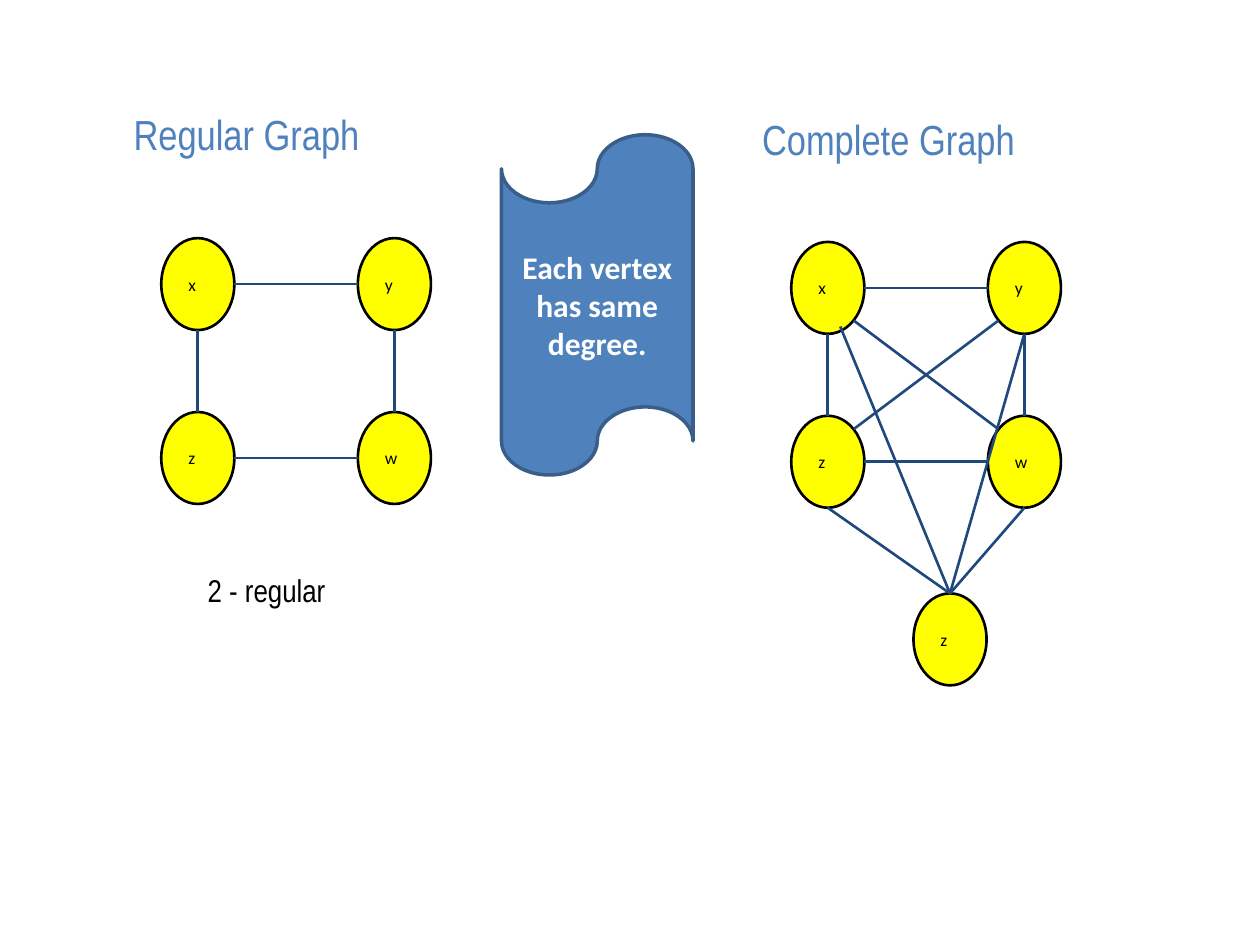
from lxml import etree
from pptx import Presentation
from pptx.dml.color import RGBColor
from pptx.enum.shapes import MSO_CONNECTOR as Connector, MSO_SHAPE as Preset
from pptx.enum.text import MSO_ANCHOR as Anchor, MSO_AUTO_SIZE as AutoSize, PP_ALIGN as Align
from pptx.oxml.ns import qn
from pptx.util import Inches, Pt

BLUE = RGBColor(0x4F, 0x81, 0xBD)
DARK_BLUE = RGBColor(0x39, 0x5E, 0x89)
NAVY = RGBColor(0x1F, 0x49, 0x7D)
YELLOW = RGBColor(0xFF, 0xFF, 0x00)
BLACK = RGBColor(0x00, 0x00, 0x00)
WHITE = RGBColor(0xFF, 0xFF, 0xFF)

NODE_WIDTH, NODE_HEIGHT = 0.58, 0.73
COLUMN_STEP, ROW_STEP = 1.56, 1.38

TOP, BOTTOM, LEFT, RIGHT = (0, -1), (0, 1), (-1, 0), (1, 0)
TOP_LEFT, TOP_RIGHT = (-0.71, -0.71), (0.71, -0.71)
BOTTOM_LEFT, BOTTOM_RIGHT = (-0.71, 0.71), (0.71, 0.71)
LOWER_RIGHT = (0.34, 0.84)

SQUARE_EDGES = [
    ("x", RIGHT, "y", LEFT),
    ("x", BOTTOM, "z", TOP),
    ("y", BOTTOM, "w", TOP),
    ("z", RIGHT, "w", LEFT),
]
COMPLETE_EDGES = SQUARE_EDGES + [
    ("z", TOP_RIGHT, "y", BOTTOM_LEFT),
    ("x", BOTTOM_RIGHT, "w", TOP_LEFT),
    ("x", LOWER_RIGHT, "apex", TOP),
    ("apex", TOP, "y", BOTTOM),
    ("z", BOTTOM, "apex", TOP),
    ("apex", TOP, "w", BOTTOM),
]


def write_text(shape, text, *, size, font="Calibri", color=BLACK, bold=False,
               align=Align.LEFT, anchor=Anchor.TOP, inset=0.1):
    frame = shape.text_frame
    frame.word_wrap = True
    frame.auto_size = AutoSize.NONE
    frame.vertical_anchor = anchor
    frame.margin_left = frame.margin_right = Inches(0.1)
    frame.margin_top = frame.margin_bottom = Inches(inset)
    paragraph = frame.paragraphs[0]
    paragraph.alignment = align
    run = paragraph.add_run()
    run.text = text
    run.font.name = font
    run.font.size = Pt(size)
    run.font.bold = bold
    run.font.color.rgb = color


def add_label(slide, text, left, top, width, height, **text_format):
    box = slide.shapes.add_textbox(Inches(left), Inches(top), Inches(width), Inches(height))
    write_text(box, text, font="Arial Narrow", **text_format)


def place_title(slide, text, left, top, width, height, **text_format):
    title = slide.shapes.title
    title.left, title.top = Inches(left), Inches(top)
    title.width, title.height = Inches(width), Inches(height)
    write_text(title, text, font="Arial Narrow", **text_format)


def add_filled_shape(slide, preset, left, top, width, height, fill, line, line_width):
    shape = slide.shapes.add_shape(
        preset, Inches(left), Inches(top), Inches(width), Inches(height))
    shape.shadow.inherit = False
    shape.fill.solid()
    shape.fill.fore_color.rgb = fill
    shape.line.color.rgb = line
    shape.line.width = Pt(line_width)
    return shape


def add_node(slide, text, left, top):
    node = add_filled_shape(slide, Preset.OVAL, left, top, NODE_WIDTH, NODE_HEIGHT,
                            YELLOW, BLACK, 1.5)
    write_text(node, f" {text}", size=10, anchor=Anchor.MIDDLE)


def boundary_point(position, side):
    left, top = position
    across, down = side
    return (Inches(left + NODE_WIDTH / 2 * (1 + across)),
            Inches(top + NODE_HEIGHT / 2 * (1 + down)))


def add_edge(slide, start, end):
    edge = slide.shapes.add_connector(Connector.STRAIGHT, *start, *end)
    edge.line.color.rgb = NAVY
    edge.line.width = Pt(1.5)
    etree.SubElement(edge._element.spPr, qn("a:effectLst"))


def square_positions(left, top):
    return {name: (left + index % 2 * COLUMN_STEP, top + index // 2 * ROW_STEP)
            for index, name in enumerate("xyzw")}


def add_graph(slide, positions, edges, captions):
    for name, position in positions.items():
        add_node(slide, captions.get(name, name), *position)
    for start, start_side, end, end_side in edges:
        add_edge(slide, boundary_point(positions[start], start_side),
                 boundary_point(positions[end], end_side))


def main():
    presentation = Presentation()
    presentation.slide_width, presentation.slide_height = Inches(10), Inches(7.5)
    slide = presentation.slides.add_slide(presentation.slide_layouts.get_by_name("Title Only"))

    place_title(slide, "Regular Graph", 0.96, 0.76, 3.84, 0.56, size=24, color=BLUE)
    add_graph(slide, square_positions(1.28, 1.89), SQUARE_EDGES, {})
    add_label(slide, "2 - regular", 1.55, 4.43, 1.79, 0.65, size=18)

    tape = add_filled_shape(slide, Preset.FLOWCHART_PUNCHED_TAPE, 3.98, 1.07, 1.52, 2.7,
                            BLUE, DARK_BLUE, 2)
    write_text(tape, "Each vertex has same degree.", size=18, color=WHITE, bold=True,
               align=Align.CENTER, anchor=Anchor.MIDDLE, inset=0.05)

    add_label(slide, "Complete Graph", 5.95, 0.8, 3.84, 0.56, size=24, color=BLUE)
    complete_positions = square_positions(6.28, 1.92) | {"apex": (7.25, 4.71)}
    add_graph(slide, complete_positions, COMPLETE_EDGES, {"apex": "z"})

    presentation.save("out.pptx")


if __name__ == "__main__":
    main()
